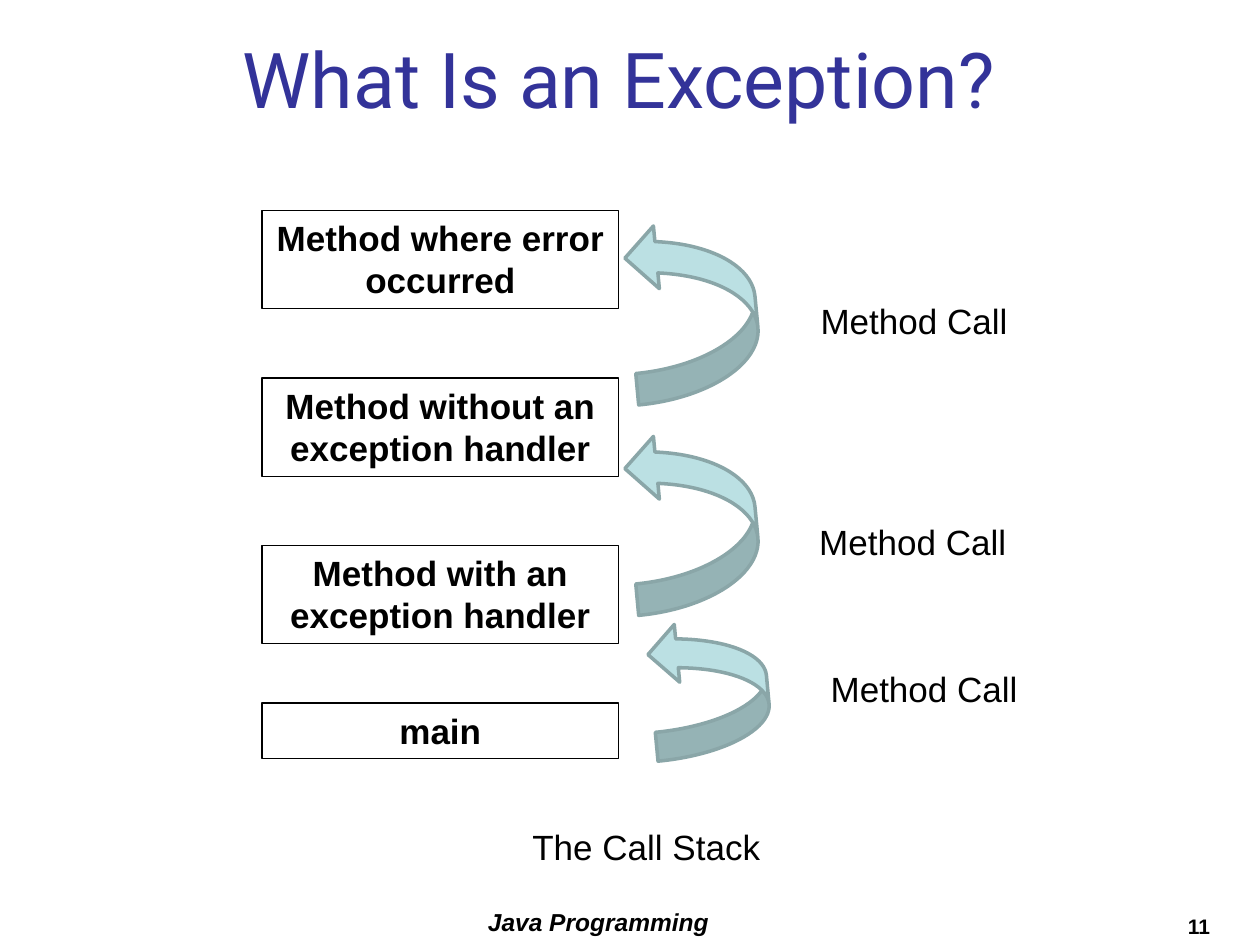
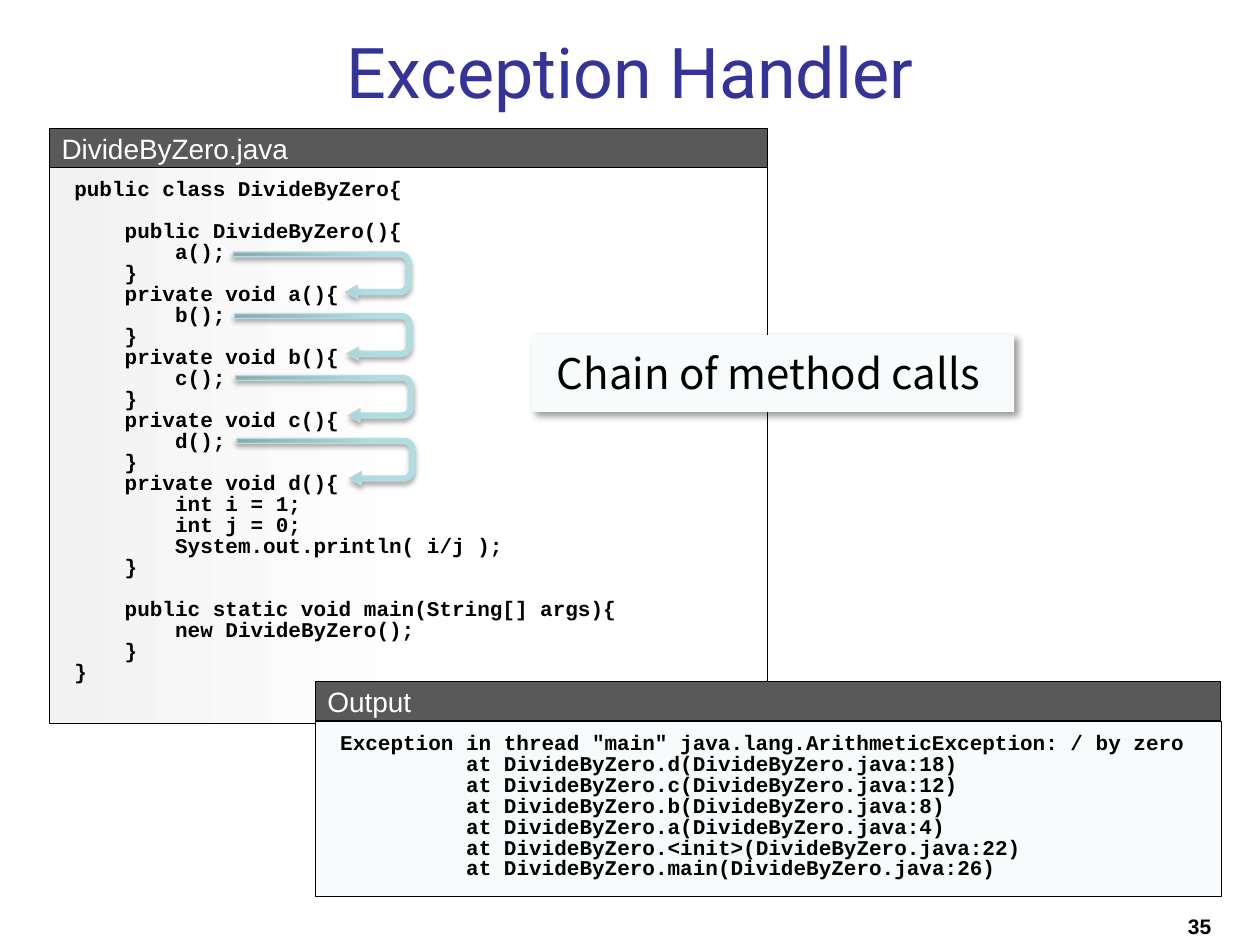
from lxml import etree
from pptx import Presentation
from pptx import util as u
from pptx.dml.color import RGBColor
from pptx.enum import shapes, text
from pptx.oxml.ns import qn

PX = 9144  # EMU per px, 100 px to the inch
COLORS = {
    "title": "333399", "ink": "000000", "white": "FFFFFF", "bar": "595959",
    "pale": "F8FBFC", "code": "F2F2F2", "curve": "BBE0E3", "curve_edge": "8AA6A8",
    "uturn_tail": "87ABAE", "uturn_mid": "AFDEE2", "uturn_head": "AFE0E4",
    "uturn_edge": "B6DCDF",
}
CENTER = text.PP_ALIGN.CENTER
MIDDLE = text.MSO_ANCHOR.MIDDLE
CODE_INSET = (20, 10)
CHAR_WIDTH = 10  # one monospaced character at 12 pt
LINE_PT = 12

# Call stack slide
STACK = [
    ("Method where error occurred", 167, 78),
    ("Method without an exception handler", 300, 78),
    ("Method with an exception handler", 433, 78),
    ("main", 558, 44),
]
CALL_ARROWS = [(500, 342, 100, 142), (500, 175, 100, 142), (517, 492, 92, 108)]
CAPTIONS = [
    ("Method Call", (617, 233, 217, 44)),
    ("Method Call", (608, 408, 233, 44)),
    ("Method Call", (617, 525, 233, 44)),
    ("The Call Stack", (192, 650, 642, 43)),
]

# Exception handler slide
SOURCE = """\
public class DivideByZero{

    public DivideByZero(){
        a();
    }
    private void a(){
        b();
    }
    private void b(){
        c();
    }
    private void c(){
        d();
    }
    private void d(){
        int i = 1;
        int j = 0;
        System.out.println( i/j );
    }

    public static void main(String[] args){
        new DivideByZero();
    }
}"""
OUTPUT = """\
Exception in thread "main" java.lang.ArithmeticException: / by zero
          at DivideByZero.d(DivideByZero.java:18)
          at DivideByZero.c(DivideByZero.java:12)
          at DivideByZero.b(DivideByZero.java:8)
          at DivideByZero.a(DivideByZero.java:4)
          at DivideByZero.<init>(DivideByZero.java:22)
          at DivideByZero.main(DivideByZero.java:26)"""
CODE_STOPS = [(0, "code"), (53, "white")]
UTURN_STOPS = [(0, "uturn_tail"), (80, "uturn_mid"), (100, "uturn_head")]
UTURN_ADJ = (0.105, 0.141, 0.25, 0.228, 0.366)


def rgb(name):
    return RGBColor.from_string(COLORS[name])


def px(box):
    return [n * PX for n in box]


def add_shape(slide, kind, box, fill=None, line=None, width=0.75):
    sp = slide.shapes.add_shape(kind, *px(box))
    sp.shadow.inherit = False
    if fill:
        sp.fill.solid()
        sp.fill.fore_color.rgb = rgb(fill)
    else:
        sp.fill.background()
    if line:
        sp.line.color.rgb = rgb(line)
        sp.line.width = u.Pt(width)
    else:
        sp.line.fill.background()
    return sp


def set_gradient(sp, stops, angle):
    """Linear gradient; stops are (percent, colour name), angle is clockwise."""
    sp.fill.gradient()
    sp.fill.gradient_angle = -angle % 360
    gs_list = sp._element.spPr.find(qn("a:gradFill")).find(qn("a:gsLst"))
    for gs in list(gs_list):
        gs_list.remove(gs)
    for percent, color in stops:
        gs = etree.SubElement(gs_list, qn("a:gs"), pos=str(percent * 1000))
        etree.SubElement(gs, qn("a:srgbClr"), val=COLORS[color])


def set_shadow(sp, opacity, blur, dist, angle):
    effects = sp._element.spPr.find(qn("a:effectLst"))
    shadow = etree.SubElement(
        effects, qn("a:outerShdw"), blurRad=str(u.Pt(blur)), dist=str(u.Pt(dist)),
        dir=str(angle * 60000), algn="ctr", rotWithShape="0")
    clr = etree.SubElement(shadow, qn("a:srgbClr"), val=COLORS["ink"])
    etree.SubElement(clr, qn("a:alpha"), val=str(opacity * 1000))


def style(p, size, font="Arial", color="ink", bold=False, italic=False,
          align=text.PP_ALIGN.LEFT):
    p.alignment = align
    for r in p.runs:
        f = r.font
        f.size, f.name, f.bold, f.italic = u.Pt(size), font, bold, italic
        f.color.rgb = rgb(color)
        for tag in ("a:ea", "a:cs"):
            etree.SubElement(r._r.get_or_add_rPr(), qn(tag), typeface=font)


def prepare_frame(sp, anchor=text.MSO_ANCHOR.TOP, inset=(10, 5), wrap=True):
    tf = sp.text_frame
    tf.word_wrap = wrap
    tf.vertical_anchor = anchor
    tf.margin_left = tf.margin_right = inset[0] * PX
    tf.margin_top = tf.margin_bottom = inset[1] * PX
    return tf


def write(sp, words, size, frame=None, **font):
    tf = prepare_frame(sp, **(frame or {}))
    tf.text = words
    style(tf.paragraphs[0], size, **font)


def add_label(slide, words, box, size, frame=None, **font):
    write(slide.shapes.add_textbox(*px(box)), words, size, frame, **font)


def write_code(sp, code):
    """Leading spaces become indents, empty lines become space before."""
    tf = prepare_frame(sp, inset=CODE_INSET)
    p, gap = tf.paragraphs[0], 0
    for i, line in enumerate(code.splitlines()):
        words = line.lstrip()
        if not words:
            gap += LINE_PT
            continue
        if i:
            p = tf.add_paragraph()
        p.text = words
        p.line_spacing = u.Pt(LINE_PT)
        p.space_before = u.Pt(gap)
        style(p, 12, font="Courier New", bold=True)
        pPr = p._p.get_or_add_pPr()
        pPr.set("marL", str((len(line) - len(words)) * CHAR_WIDTH * PX))
        pPr.set("indent", "0")
        gap = 0


def add_panel(slide, heading, code, box, stops=None):
    """Code box with a dark heading bar on top of it."""
    left, top, width, _ = box
    body = add_shape(slide, shapes.MSO_SHAPE.RECTANGLE, box, "pale", "ink", 0.25)
    if stops:
        set_gradient(body, stops, 0)
    write_code(body, code)
    bar = add_shape(slide, shapes.MSO_SHAPE.RECTANGLE, (left, top - 31, width, 31),
                    "bar", "ink", 0.5)
    write(bar, heading, 16, {"anchor": MIDDLE}, color="white")


def add_slide(prs, title, box, size, number):
    slide = prs.slides.add_slide(prs.slide_layouts[6])
    add_label(slide, str(number), (933, 720, 49, 30), 12, {"wrap": False}, bold=True)
    add_label(slide, title, box, size, {"anchor": MIDDLE},
              font="Roboto", color="title", align=CENTER)
    return slide


def build_call_stack(prs):
    slide = add_slide(prs, "What Is an Exception?", (158, 33, 667, 58), 44, 11)
    add_label(slide, "Java Programming", (350, 715, 250, 35), 14,
              bold=True, italic=True, align=CENTER)
    for words, top, height in STACK:
        sp = add_shape(slide, shapes.MSO_SHAPE.RECTANGLE, (208, top, 283, height),
                       line="ink")
        write(sp, words, 20, bold=True, align=CENTER)
    for box in CALL_ARROWS:
        sp = add_shape(slide, shapes.MSO_SHAPE.CURVED_RIGHT_ARROW, box,
                       "curve", "curve_edge", 2)
        sp.rotation = 174.6
    for words, box in CAPTIONS:
        add_label(slide, words, box, 20, align=CENTER)


def build_exception_handler(prs):
    slide = add_slide(prs, "Exception Handler", (50, 17, 900, 78), 40, 35)
    add_panel(slide, "DivideByZero.java", SOURCE, (39, 133, 570, 441), CODE_STOPS)
    add_panel(slide, "Output", OUTPUT, (250, 572, 719, 139))
    for i in range(4):
        sp = add_shape(slide, shapes.MSO_SHAPE.U_TURN_ARROW,
                       (237 + i, 148 + i * 148 // 3, 37, 141), line="uturn_edge")
        for n, value in enumerate(UTURN_ADJ):
            sp.adjustments[n] = value
        sp.rotation = 270
        xfrm = sp._element.spPr.find(qn("a:xfrm"))
        xfrm.set("flipH", "1")
        xfrm.set("flipV", "1")
        set_gradient(sp, UTURN_STOPS, 270)
        set_shadow(sp, 35, 3.1, 1.8, 90)
    note = add_shape(slide, shapes.MSO_SHAPE.RECTANGLE, (422, 266, 383, 61), "pale")
    set_shadow(note, 40, 4, 3, 45)
    write(note, "Chain of method calls", 24, {"inset": CODE_INSET},
          font="Noto Sans CJK JP")


def main():
    prs = Presentation()
    prs.slide_width, prs.slide_height = px((1000, 750))
    build_call_stack(prs)
    build_exception_handler(prs)
    prs.save("out.pptx")


if __name__ == "__main__":
    main()
